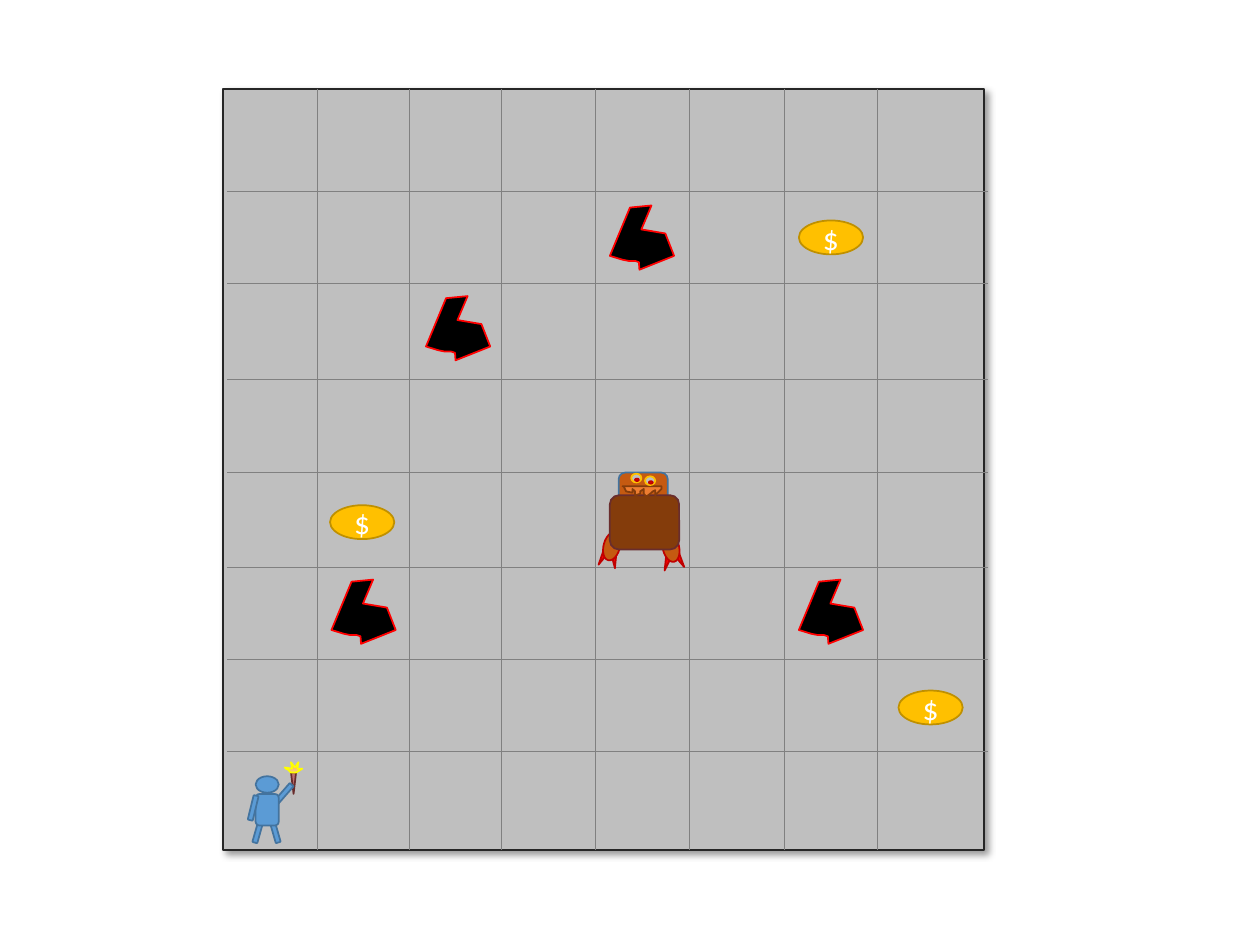
from dataclasses import dataclass

from pptx import Presentation
from pptx.dml.color import RGBColor
from pptx.enum import shapes as sh, text as tx
from pptx.oxml import parse_xml
from pptx.oxml.ns import nsdecls
from pptx.util import Pt

KIND = sh.MSO_SHAPE


@dataclass(frozen=True)
class Theme:
    font: str = "Calibri"
    coin_size: float = 18
    outline: float = 1
    grid_width: float = 0.5
    board: tuple = ("BFBFBF", "262626")
    grid: str = "808080"
    boulder: tuple = ("000000", "FF0000")
    coin: tuple = ("FFC000", "BF9000")
    coin_text: str = "FFFFFF"
    hero: tuple = ("5B9BD5", "43739E")
    torch: tuple = ("C16F6F", "692D2D")
    flame: tuple = ("FF0000", "F4B183", "FFD966")
    flame_line: str = "FFFF00"
    claw: tuple = ("FF0000", "C00000")
    face: tuple = ("C55A11", "43739E")
    foot: tuple = ("C55A11", "C00000")
    torso: tuple = ("843C0B", "692D2D")
    mouth: tuple = ("ED7D31", "843C0B")
    eye: tuple = ("BFBFBF", "FFC000")


T = Theme()


def paint(sp, colors):
    fill, line = colors
    sp.shadow.inherit = False
    sp.fill.solid()
    sp.fill.fore_color.rgb = RGBColor.from_string(fill)
    sp.line.color.rgb = RGBColor.from_string(line)
    sp.line.width = Pt(T.outline)
    return sp


def add_part(parent, kind, box, colors, rotation=0):
    sp = parent.shapes.add_shape(kind, *map(Pt, box))
    sp.rotation = rotation
    return paint(sp, colors)


def add_outline(parent, x, y, points, colors):
    pts = [(Pt(x + dx), Pt(y + dy)) for dx, dy in points]
    builder = parent.shapes.build_freeform(*pts[0])
    builder.add_line_segments(pts[1:], close=True)
    return paint(builder.convert_to_shape(), colors)


def add_grid_line(parent, x1, y1, x2, y2):
    c = parent.shapes.add_connector(
        sh.MSO_CONNECTOR.STRAIGHT, *map(Pt, (x1, y1, x2, y2)))
    c.line.color.rgb = RGBColor.from_string(T.grid)
    c.line.width = Pt(T.grid_width)
    c._element.spPr.append(parse_xml(f"<a:effectLst {nsdecls('a')}/>"))


def add_board(s, x, y, size):
    g = s.shapes.add_group_shape()
    sp = add_part(g, KIND.RECTANGLE, (x, y, size, size), T.board)
    spPr = sp._element.spPr
    spPr.remove(spPr.effectLst)
    spPr.append(parse_xml(
        f'<a:effectLst {nsdecls("a")}><a:outerShdw blurRad="{Pt(4)}" '
        f'dist="{Pt(3)}" dir="2700000" algn="tl" rotWithShape="0">'
        '<a:srgbClr val="000000"><a:alpha val="40000"/></a:srgbClr>'
        '</a:outerShdw></a:effectLst>'))
    for dx in (54, 106.5, 159, 213, 266.5, 321, 374):
        add_grid_line(g, x + dx, y, x + dx, y + size)
    for dy in (59, 111.5, 166, 219.5, 273.5, 326, 378.5):
        add_grid_line(g, x + 2.25, y + dy, x + 2.25 + size, y + dy)


def add_boulder(s, x, y):
    add_outline(s, x, y, [
        (11.5, 1.2), (0, 28.8), (7.2, 31), (10.8, 31.7), (14.4, 31.7),
        (16.6, 32.4), (16.9, 36.7), (36.7, 28.8), (31.7, 16), (18, 13.7),
        (23.8, 0)], T.boulder)


def add_coin(s, x, y):
    sp = add_part(s, KIND.OVAL, (x, y, 36.7, 19.4), T.coin)
    tf = sp.text_frame
    tf.text = "$"
    tf.vertical_anchor = tx.MSO_ANCHOR.MIDDLE
    p = tf.paragraphs[0]
    p.alignment = tx.PP_ALIGN.CENTER
    p.font.name = T.font
    p.font.size = Pt(T.coin_size)
    p.font.color.rgb = RGBColor.from_string(T.coin_text)


def add_torch_bearer(s, x, y):
    g = s.shapes.add_group_shape()
    add_outline(g, x, y, [(28.8, 5.9), (30.3, 18.1), (31.7, 5.9)], T.torch)
    limb = (14.4, 2.9)
    for kind, dx, dy, (w, h), rotation in (
            (KIND.ROUNDED_RECTANGLE, 17.3, 16.7, limb, 311.2),
            (KIND.OVAL, 8.6, 8, (13.2, 9.4), 0),
            (KIND.ROUNDED_RECTANGLE, 2.9, 37.5, limb, 286),
            (KIND.ROUNDED_RECTANGLE, 12.3, 37.5, limb, 74),
            (KIND.ROUNDED_RECTANGLE, 8.6, 18.1, (13.2, 18), 0),
            (KIND.ROUNDED_RECTANGLE, 0, 24.6, limb, 283.7)):
        add_part(g, kind, (x + dx, y + dy, w, h), T.hero, rotation)
    flame = add_outline(g, x, y, [
        (28.8, 5.9), (28, 5.2), (27.4, 4.4), (26, 3.7), (25.2, 3),
        (29.5, 3.7), (28.8, 0), (31, 3), (33.1, 0), (32.4, 3.7),
        (35.3, 3.7), (31.7, 5.9)], (T.flame[0], T.flame_line))
    stops = "".join(
        f'<a:gs pos="{i * 50000}"><a:srgbClr val="{color}"/></a:gs>'
        for i, color in enumerate(T.flame))
    spPr = flame._element.spPr
    spPr.replace(spPr.eg_fillProperties if hasattr(spPr, "eg_fillProperties")
                 else spPr.find("{*}solidFill"), parse_xml(
        f'<a:gradFill {nsdecls("a")}><a:gsLst>{stops}</a:gsLst>'
        '<a:lin ang="5400000" scaled="0"/></a:gradFill>'))


def add_monster(s, x, y):
    g = s.shapes.add_group_shape()

    def part(kind, dx, dy, w, h, colors, rotation=0):
        add_part(g, kind, (x + dx, y + dy, w, h), colors, rotation)

    for dx, dy, rotation in ((0.7, 43.2, 209.4), (7.2, 44.6, 175.6),
                             (44.6, 44.6, 149.7), (37.4, 46.1, 196.1)):
        part(KIND.ISOSCELES_TRIANGLE, dx, dy, 3.6, 10.1, T.claw, rotation)
    part(KIND.ROUNDED_RECTANGLE, 11.5, 0, 28.1, 23, T.face)
    for dx, dy, rotation in ((2.9, 33.8, 14.7), (36.7, 34.6, 347.4)):
        part(KIND.OVAL, dx, dy, 9.4, 16.6, T.foot, rotation)
    part(KIND.ROUNDED_RECTANGLE, 6.5, 13, 39.6, 31, T.torso)
    add_outline(g, x, y, [
        (14.4, 7.9), (15.8, 10.8), (19.4, 11.5), (19.4, 9.4), (20.9, 10.8),
        (20.9, 13), (23.8, 12.2), (23.8, 10.8), (25.9, 9.4), (25.9, 12.2),
        (27.4, 13.7), (29.5, 12.2), (31, 10.8), (32.4, 10.1), (32.4, 13),
        (33.8, 11.5), (36, 9.4), (36, 7.9), (13.7, 7.9)], T.mouth)
    for dx, dy in ((18.7, 0.7), (26.6, 2.2)):
        part(KIND.OVAL, dx, dy, 5.8, 5, T.eye)
        part(KIND.OVAL, dx + 2.2, dy + 2.8, 2.2, 1.4, T.claw)


def main():
    prs = Presentation()
    prs.slide_width, prs.slide_height = Pt(720), Pt(540)
    s = prs.slides.add_slide(prs.slide_layouts[6])
    add_board(s, 127.5, 50.7, 435)
    add_torch_bearer(s, 137.5, 435.6)
    add_monster(s, 342, 270)
    for x, y in ((243.4, 169.2), (456.5, 331.2), (189.4, 331.2), (348.5, 117.4)):
        add_boulder(s, x, y)
    for x, y in ((456.5, 126), (513.4, 394.6), (188.6, 288.7)):
        add_coin(s, x, y)
    prs.save("out.pptx")


if __name__ == "__main__":
    main()
